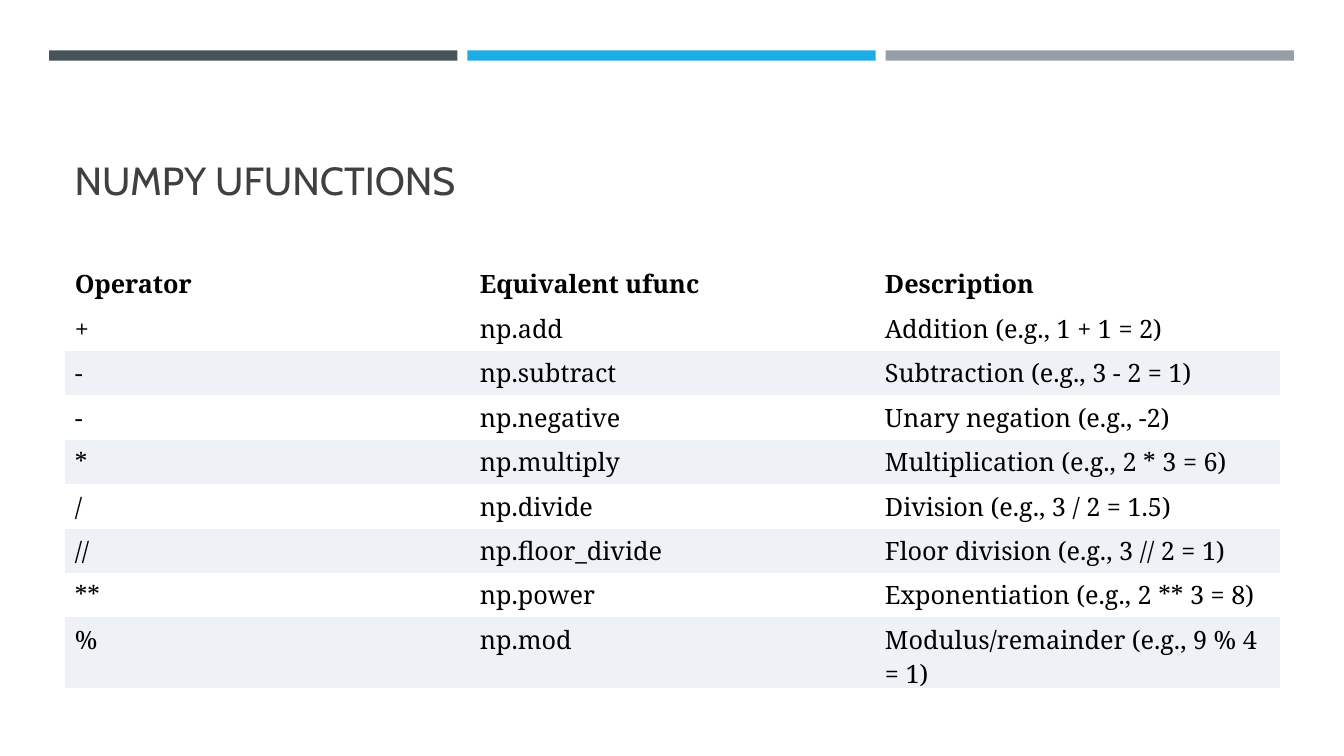
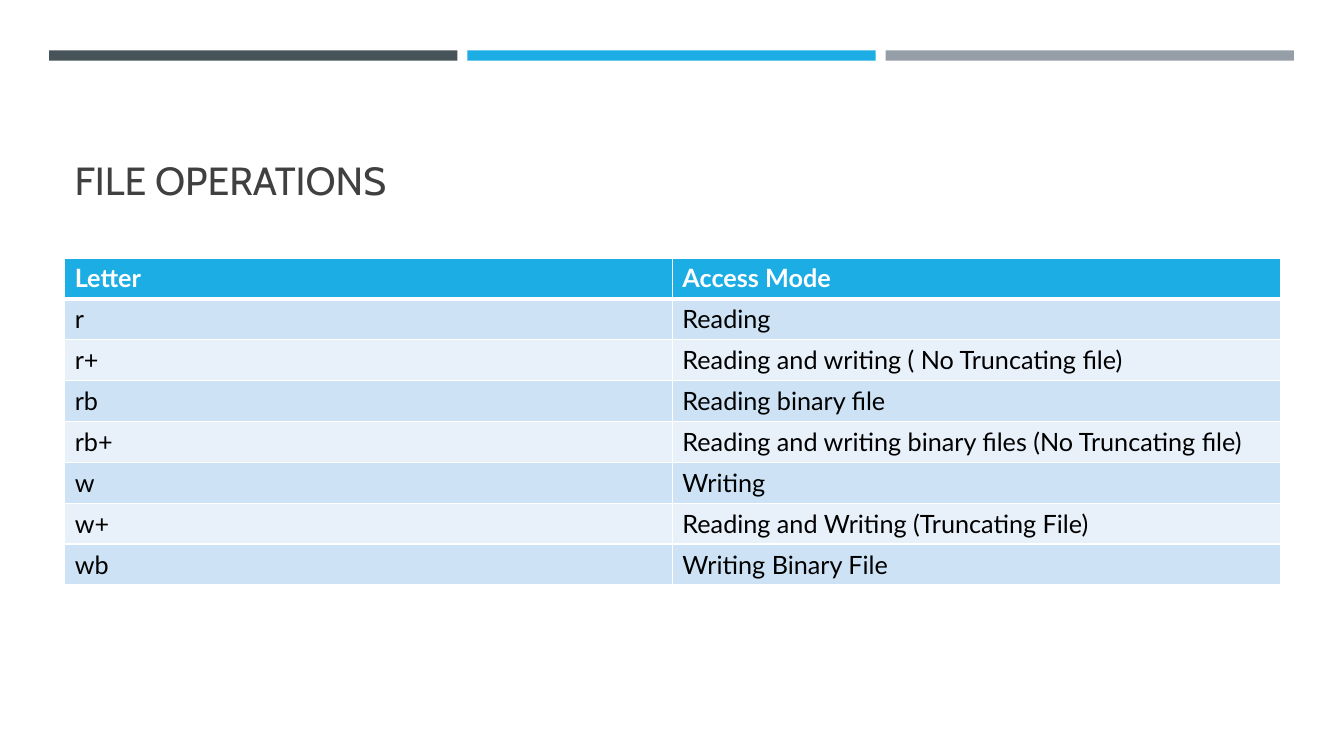
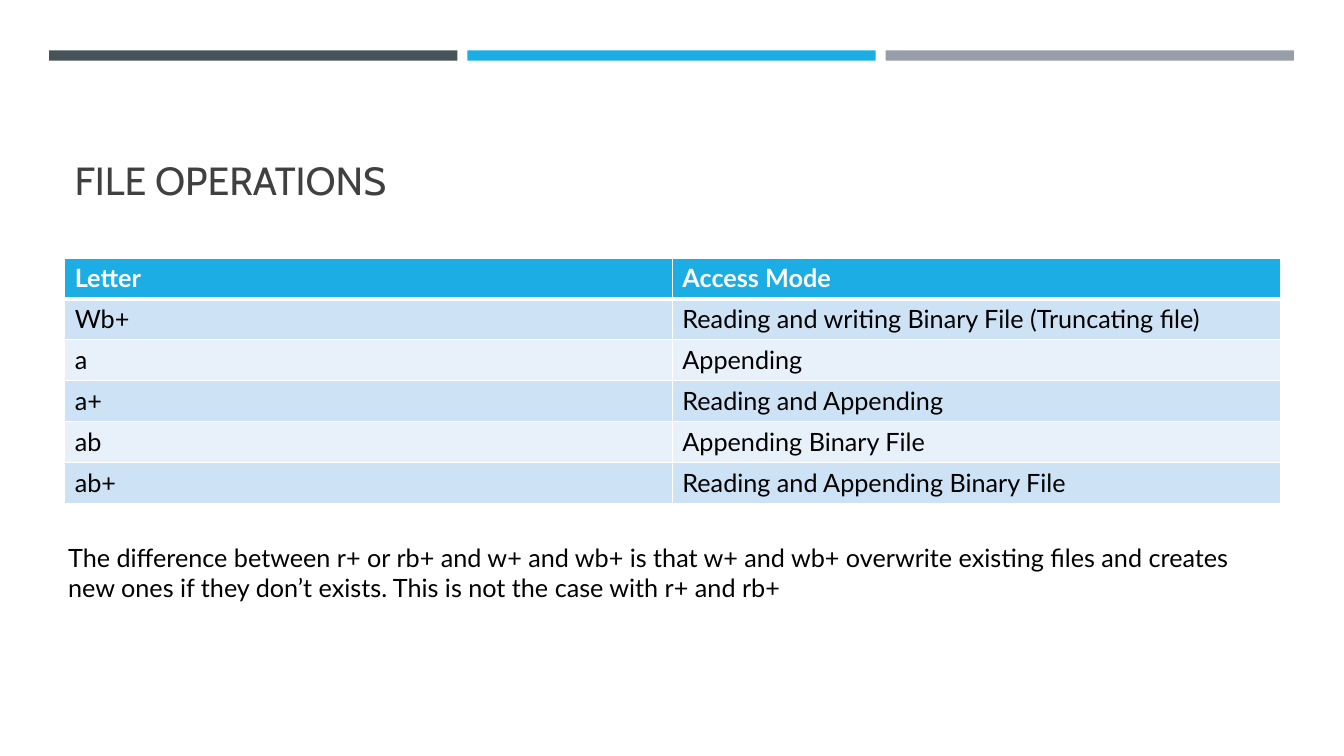
from dataclasses import dataclass

from lxml import etree
from pptx import Presentation
from pptx.dml.color import RGBColor
from pptx.enum.shapes import MSO_SHAPE
from pptx.enum.text import MSO_ANCHOR
from pptx.oxml.ns import qn
from pptx.util import Cm, Pt

RECTANGLE = MSO_SHAPE.RECTANGLE
TOP, MIDDLE, BOTTOM = MSO_ANCHOR.TOP, MSO_ANCHOR.MIDDLE, MSO_ANCHOR.BOTTOM

# Content
UFUNCTIONS = [
    ("Operator", "Equivalent ufunc", "Description"),
    ("+", "np.add", "Addition (e.g., 1 + 1 = 2)"),
    ("-", "np.subtract", "Subtraction (e.g., 3 - 2 = 1)"),
    ("-", "np.negative", "Unary negation (e.g., -2)"),
    ("*", "np.multiply", "Multiplication (e.g., 2 * 3 = 6)"),
    ("/", "np.divide", "Division (e.g., 3 / 2 = 1.5)"),
    ("//", "np.floor_divide", "Floor division (e.g., 3 // 2 = 1)"),
    ("**", "np.power", "Exponentiation (e.g., 2 ** 3 = 8)"),
    ("%", "np.mod", "Modulus/remainder (e.g., 9 % 4 = 1)"),
]
MODE_HEADER = ("Letter", "Access Mode")
READ_WRITE_MODES = [
    MODE_HEADER,
    ("r", "Reading"),
    ("r+", "Reading and writing ( No Truncating file)"),
    ("rb", "Reading binary file"),
    ("rb+", "Reading and writing binary files (No Truncating file)"),
    ("w", "Writing"),
    ("w+", "Reading and Writing (Truncating File)"),
    ("wb", "Writing Binary File"),
]
APPEND_MODES = [
    MODE_HEADER,
    ("Wb+", "Reading and writing Binary File (Truncating file)"),
    ("a", "Appending"),
    ("a+", "Reading and Appending"),
    ("ab", "Appending Binary File"),
    ("ab+", "Reading and Appending Binary File"),
]
OVERWRITE_NOTE = (
    "The difference between r+ or rb+ and w+ and wb+ is that w+ and wb+ "
    "overwrite existing files and creates new ones if they don’t exists. "
    "This is not the case with r+ and rb+"
)


# Theme
@dataclass(frozen=True)
class Theme:
    bars: tuple = ("465359", "1CADE4", "969FA7")
    title_color: str = "404040"
    title_font: str = "Cabin"
    title_size: int = 28
    body_font: str = "Lato"
    body_size: int = 18
    text_color: str = "000000"
    left: float = 1.63
    width: float = 30.63


@dataclass(frozen=True)
class TableStyle:
    font: str
    header_fill: str
    header_color: str
    bands: tuple
    top: float
    row_height: float
    header_anchor: MSO_ANCHOR = TOP
    border: str = ""
    border_width: float = 1
    header_rule: float = 3


THEME = Theme()
PLAIN = TableStyle("Noto Serif", "FFFFFF", THEME.text_color, ("FFFFFF", "EEF2F6"),
                   top=6.6, row_height=1.12, header_anchor=MIDDLE)
GRID = TableStyle(THEME.body_font, THEME.bars[1], "FFFFFF", ("CDE3F5", "E8F1FA"),
                  top=6.5, row_height=1.03, border="FFFFFF")


# Helpers
def write(frame, text, font=THEME.body_font, size=THEME.body_size,
          color=THEME.text_color, bold=False, anchor=TOP):
    frame.word_wrap = True
    frame.vertical_anchor = anchor
    span = frame.paragraphs[0].add_run()
    span.text = text
    span.font.name = font
    span.font.size = Pt(size)
    span.font.bold = bold
    span.font.color.rgb = RGBColor.from_string(color)


def add_text(page, text, left, top, width, height, **text_format):
    box = page.shapes.add_textbox(Cm(left), Cm(top), Cm(width), Cm(height))
    write(box.text_frame, text, **text_format)


def set_borders(cell, color, widths):
    properties = cell._tc.get_or_add_tcPr()
    for side, width in widths.items():
        line = etree.SubElement(properties, qn(f"a:ln{side}"), w=str(Pt(width)))
        if color:
            fill = etree.SubElement(line, qn("a:solidFill"))
            etree.SubElement(fill, qn("a:srgbClr"), val=color)
        else:
            etree.SubElement(line, qn("a:noFill"))


def add_table(page, rows, style):
    count = len(rows[0])
    table = page.shapes.add_table(
        len(rows), count, Cm(THEME.left), Cm(style.top), Cm(THEME.width),
        Cm(style.row_height * len(rows))).table
    table.horz_banding = False
    for column in table.columns:
        column.width = Cm(THEME.width / count)
    for row_index, values in enumerate(rows):
        header = row_index == 0
        fill = style.header_fill if header else style.bands[(row_index - 1) % 2]
        widths = dict.fromkeys("LRTB", style.border_width)
        if row_index < 2:  # the header and the first body row share the thick rule
            widths["B" if header else "T"] = style.header_rule
        for column_index, value in enumerate(values):
            cell = table.cell(row_index, column_index)
            set_borders(cell, style.border, widths)
            cell.fill.solid()
            cell.fill.fore_color.rgb = RGBColor.from_string(fill)
            write(cell.text_frame, value, font=style.font, bold=header,
                  color=style.header_color if header else THEME.text_color)
            cell.vertical_anchor = style.header_anchor if header else TOP


def add_page(deck, title):
    page = deck.slides.add_slide(deck.slide_layouts[6])
    bar_width, gap = 10.29, 0.25
    for index, color in enumerate(THEME.bars):
        bar = page.shapes.add_shape(
            RECTANGLE, Cm(1.24 + index * (bar_width + gap)), Cm(1.27),
            Cm(bar_width), Cm(0.26))
        bar.shadow.inherit = False
        bar.fill.solid()
        bar.fill.fore_color.rgb = RGBColor.from_string(color)
        bar.line.fill.background()
    add_text(page, title, THEME.left, 1.96, THEME.width, 3.3, font=THEME.title_font,
             size=THEME.title_size, color=THEME.title_color, anchor=BOTTOM)
    return page


# Slides
def main():
    deck = Presentation()
    deck.slide_width, deck.slide_height = Cm(33.87), Cm(19.05)
    for title, rows, style in (
        ("NUMPY UFUNCTIONS", UFUNCTIONS, PLAIN),
        ("FILE OPERATIONS", READ_WRITE_MODES, GRID),
        ("FILE OPERATIONS", APPEND_MODES, GRID),
    ):
        page = add_page(deck, title)
        add_table(page, rows, style)
    add_text(page, OVERWRITE_NOTE, 1.47, 13.54, 30.78, 1.8)
    deck.save("out.pptx")


if __name__ == "__main__":
    main()
